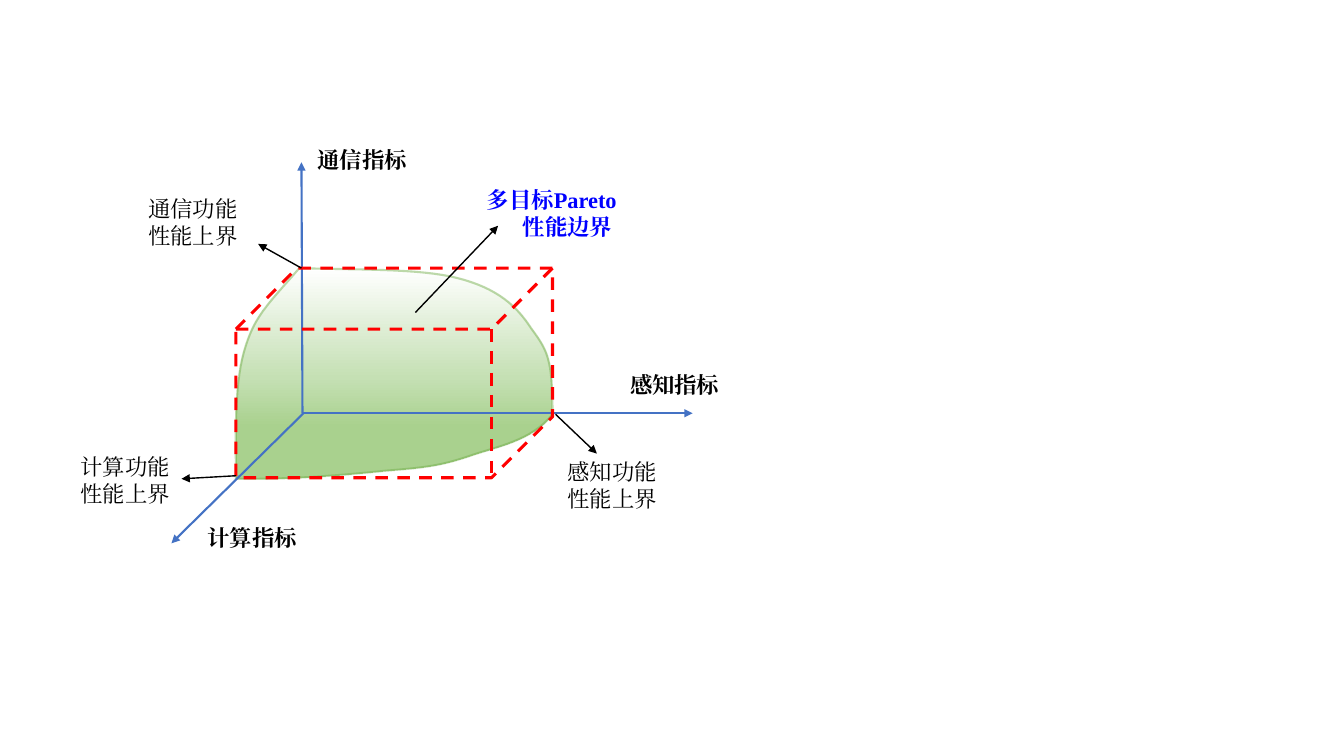
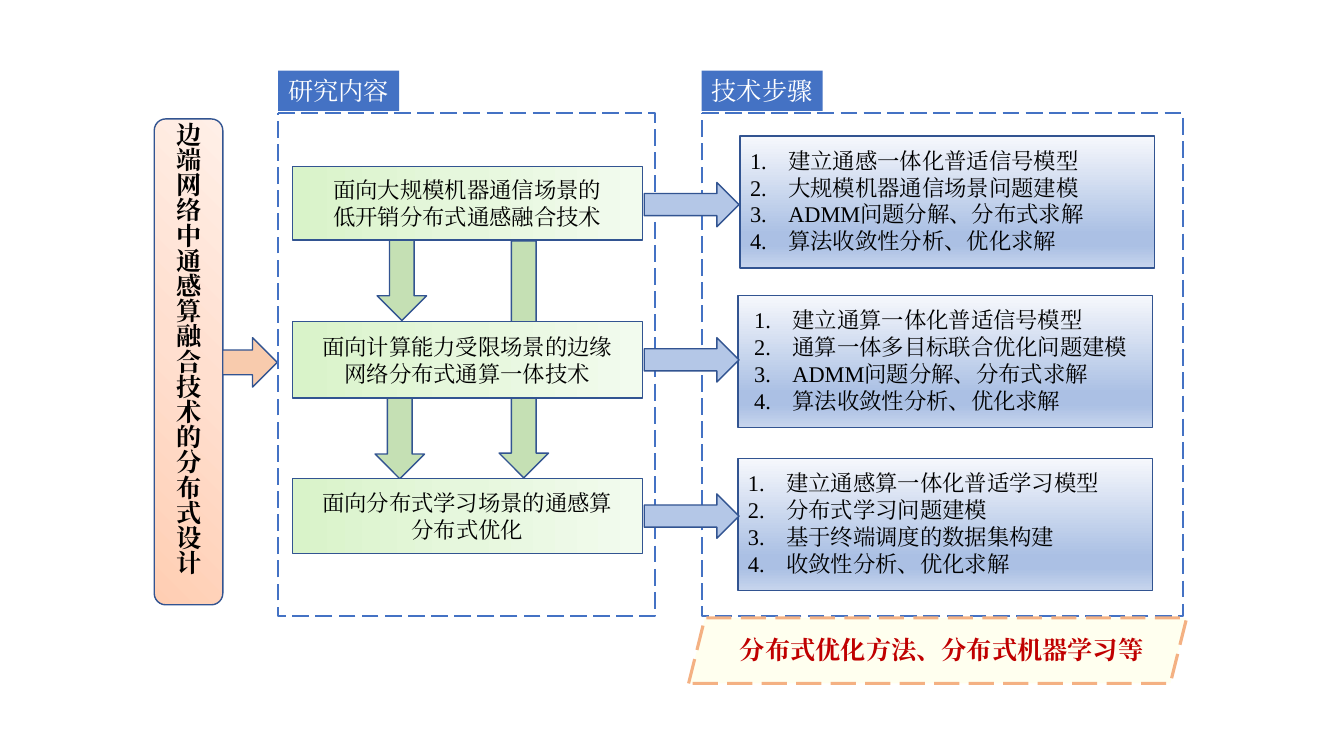
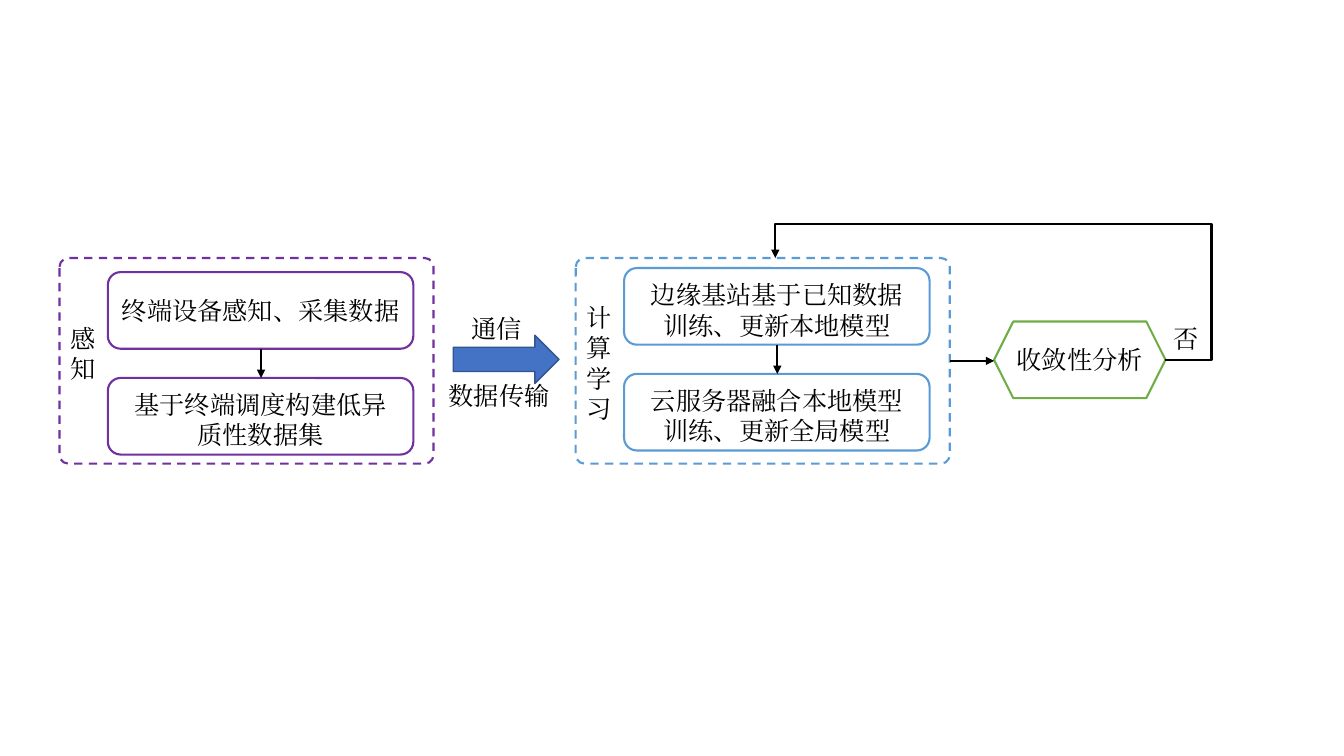
from dataclasses import dataclass

from pptx import Presentation
from pptx import util as u
from pptx.dml import color
from pptx.enum import dml, shapes, text
from pptx.oxml import parse_xml
from pptx.oxml.ns import nsdecls, qn
from lxml import etree


@dataclass(frozen=True)
class Theme:
    font: str = "Times New Roman"
    label: int = 16
    heading: int = 18
    black: str = "000000"
    white: str = "FFFFFF"
    blue: str = "4472C4"
    outline: str = "325491"
    purple: str = "7030A0"
    sky: str = "5B9BD5"
    green: str = "70AD47"
    light_green: str = "C5E0B4"
    light_blue: str = "B4C7E7"
    peach: str = "F8CBAD"
    orange: str = "F4B183"
    yellow: str = "FFFF99"
    red: str = "FF0000"
    dark_red: str = "C00000"
    bright_blue: str = "0000FF"


theme = Theme()
PRESET = shapes.MSO_SHAPE
CENTER = text.PP_ALIGN.CENTER
LEFT = text.PP_ALIGN.LEFT
TOP = text.MSO_ANCHOR.TOP
MIDDLE = text.MSO_ANCHOR.MIDDLE
DASH = dml.MSO_LINE.DASH
LONG_DASH = dml.MSO_LINE.LONG_DASH

# Gradients: stops as (position, colour), then direction
LINEAR = '<a:lin ang="{}" scaled="0"/>'
CORNER = '<a:path path="circle"><a:fillToRect t="100000" r="100000"/></a:path>'
GRADIENTS = {
    "surface": ([(0, "FFFFFF"), (52, "C5E0B4"), (75, "A9D18E"), (100, "A9D18E")],
                LINEAR.format(5400000)),
    "topic": ([(0, "D9F3C9"), (50, "E6F7DD"), (100, "F2FBEE")], LINEAR.format(0)),
    "steps": ([(0, "F6F8FC"), (74, "ABC0E4"), (83, "ABC0E4"), (100, "C7D5ED")],
              LINEAR.format(5400000)),
    "banner": ([(0, "FFCEB3"), (50, "FFDFCF"), (100, "FFEFE7")], CORNER),
}

# Slide 1: Pareto surface, axes and notes
SURFACE_START = (2.97, 2.66)
SURFACE_CURVES = [
    ((3.49, 2.68), (4.16, 2.66), (4.54, 2.76)),
    ((4.93, 2.86), (5.12, 3.03), (5.27, 3.26)),
    ((5.43, 3.48), (5.48, 3.55), (5.48, 4.11)),
    ((5.27, 4.38), (4.92, 4.43), (4.64, 4.53)),
    ((4.37, 4.62), (4.21, 4.64), (3.83, 4.67)),
    ((3.44, 4.71), (2.88, 4.76), (2.34, 4.75)),
    ((2.34, 4.38), (2.32, 3.84), (2.42, 3.49)),
    ((2.52, 3.14), (2.64, 3.04), (2.97, 2.66)),
]
AXES = [
    ((3.01, 4.1), (1.7, 5.39), "计算指标", (1.96, 5.15, 1.62, 0.37)),
    ((3, 4.1), (6.87, 4.1), "感知指标", (6.15, 3.63, 1.31, 0.37)),
    ((3, 4.1), (2.99, 1.61), "通信指标", (3.05, 1.4, 1.26, 0.37)),
]
BOUNDS = [
    ((5.51, 4.11), (5.92, 4.5), ["感知功能", "性能上界"], (5.53, 4.5, 1.31, 0.64)),
    ((2.99, 2.66), (2.56, 2.42), ["通信功能", "性能上界"], (1.37, 1.89, 1.31, 0.64)),
    ((2.34, 4.72), (1.8, 4.75), ["计算功能性能上界"], (0.7, 4.45, 1.23, 0.64)),
]

# Slide 2: each row has a topic (top, height, side inset) and steps (left, top, inset)
BANNER = "边端网络中通感算融合技术的分布式设计"
METHODS = "分布式优化方法、分布式机器学习等"
FRAMES = [("研究内容", 2.76, 3.74), ("技术步骤", 6.96, 4.77)]
ROWS = [
    ("面向大规模机器通信场景的低开销分布式通感融合技术", (1.65, 0.73, 0.33), (7.34, 1.35, 0.1), 1.81,
     ["建立通感一体化普适信号模型", "大规模机器通信场景问题建模",
      "ADMM问题分解、分布式求解", "算法收敛性分析、优化求解"]),
    ("面向计算能力受限场景的边缘网络分布式通算一体技术", (3.19, 0.76, 0.23), (7.32, 2.93, 0.16), 3.35,
     ["建立通算一体化普适信号模型", "通算一体多目标联合优化问题建模",
      "ADMM问题分解、分布式求解", "算法收敛性分析、优化求解"]),
    ("面向分布式学习场景的通感算分布式优化", (4.75, 0.74, 0.2), (7.32, 4.55, 0.1), 4.9,
     ["建立通感算一体化普适学习模型", "分布式学习问题建模",
      "基于终端调度的数据集构建", "收敛性分析、优化求解"]),
]
DOWN_ARROWS = [(4.95, 2.39, 2.35), (3.74, 2.38, 0.8), (3.72, 3.95, 0.8)]

# Slide 3: stages as (frame left, first box top, colour, name, name box, boxes)
STAGES = [
    (0.59, 2.7, theme.purple, "感知", (3.16, 0.71),
     [("终端设备感知、采集数据", 0.03, 0), ("基于终端调度构建低异质性数据集", 0.16, 0.07)]),
    (5.71, 2.66, theme.sky, "计算学习", (2.95, 1.31),
     [("边缘基站基于已知数据训练、更新本地模型", 0.16, 0.07),
      ("云服务器融合本地模型训练、更新全局模型", 0.16, 0.07)]),
]
CAPTIONS = [("数据传输", (4.21, 3.72, 1.48, 0.4)), ("通信", (4.53, 3.06, 0.79, 0.4)),
            ("否", (11.5, 3.16, 0.52, 0.4))]


def inches(values):
    return [u.Inches(value) for value in values]


def apply(target, values):
    for name, value in values.items():
        setattr(target, name, value)


def set_alpha(fill_color, opacity):
    """Add an opacity in percent to the first colour found below an element."""
    value = next(fill_color.iter(qn("a:srgbClr")))
    etree.SubElement(value, qn("a:alpha")).set("val", str(opacity * 1000))


def write(shape, lines, size=theme.label, ink=theme.black, bold=False, aligns=(LEFT,),
          anchor=TOP, insets=(0.1, 0.05, 0.1, 0.05), wrap=True, numbered=False):
    frame = shape.text_frame
    names = ("margin_left", "margin_top", "margin_right", "margin_bottom")
    apply(frame, dict(zip(names, inches(insets)), word_wrap=wrap, vertical_anchor=anchor))
    for index, line in enumerate(lines):
        paragraph = frame.paragraphs[0] if index == 0 else frame.add_paragraph()
        paragraph.alignment = aligns[min(index, len(aligns) - 1)]
        if numbered:
            properties = paragraph._p.get_or_add_pPr()
            properties.set("marL", str(u.Inches(0.38)))
            properties.set("indent", str(-u.Inches(0.38)))
            etree.SubElement(properties, qn("a:buAutoNum")).set("type", "arabicPeriod")
        run = paragraph.add_run()
        run.text = line
        apply(run.font, {"name": theme.font, "size": u.Pt(size), "bold": bold})
        run.font.color.rgb = color.RGBColor.from_string(ink)
        run_properties = run._r.get_or_add_rPr()
        run_properties.set("lang", "zh-CN")
        east_asian = etree.SubElement(run_properties, qn("a:ea"))
        east_asian.set("typeface", theme.font)


def add_label(slide, box, lines, **style):
    label = slide.shapes.add_textbox(*inches(box))
    write(label, lines, **style)
    return label


def paint(shape, fill=None, line=None, width=1, dash=None):
    shape.shadow.inherit = False
    if fill in GRADIENTS:
        stops, direction = GRADIENTS[fill]
        marks = "".join(f'<a:gs pos="{position * 1000}"><a:srgbClr val="{value}"/></a:gs>'
                        for position, value in stops)
        gradient = parse_xml(f'<a:gradFill {nsdecls("a")} rotWithShape="1">'
                             f'<a:gsLst>{marks}</a:gsLst>{direction}</a:gradFill>')
        shape.fill.background()
        properties = shape.element.spPr
        properties.replace(properties.find(qn("a:noFill")), gradient)
    elif fill:
        shape.fill.solid()
        shape.fill.fore_color.rgb = color.RGBColor.from_string(fill)
    else:
        shape.fill.background()
    if line:
        shape.line.color.rgb = color.RGBColor.from_string(line)
        shape.line.width = u.Pt(width)
        if dash:
            shape.line.dash_style = dash
    else:
        shape.line.fill.background()
    return shape


def add_block(slide, preset, box, adjust=None, **look):
    block = slide.shapes.add_shape(preset, *inches(box))
    if adjust is not None:
        block.adjustments[0] = adjust
    return paint(block, **look)


def add_arrow(slide, start, end, ink=theme.black, width=1.5, kind=shapes.MSO_CONNECTOR.STRAIGHT):
    arrow = slide.shapes.add_connector(kind, *inches(start + end))
    arrow.line.color.rgb = color.RGBColor.from_string(ink)
    arrow.line.width = u.Pt(width)
    properties = arrow.element.spPr
    etree.SubElement(properties.find(qn("a:ln")), qn("a:tailEnd")).set("type", "triangle")
    etree.SubElement(properties, qn("a:effectLst"))
    return arrow


def curve_points(start, curves, steps=16):
    """Sample a chain of cubic curves."""
    points = []
    for first, second, end in curves:
        for step in range(1, steps + 1):
            t = step / steps
            weights = ((1 - t) ** 3, 3 * t * (1 - t) ** 2, 3 * t * t * (1 - t), t ** 3)
            points.append(tuple(
                u.Inches(sum(w * p[axis] for w, p in zip(weights, (start, first, second, end))))
                for axis in (0, 1)))
        start = end
    return points


def build_pareto(slide):
    # Green surface
    builder = slide.shapes.build_freeform(*inches(SURFACE_START))
    builder.add_line_segments(curve_points(SURFACE_START, SURFACE_CURVES), close=True)
    surface = paint(builder.convert_to_shape(), "surface", theme.green, 1.5)
    set_alpha(surface.element.spPr.find(qn("a:ln")), 45)
    # Axes and bounding cube
    for start, end, _, _ in AXES:
        add_arrow(slide, start, end, theme.blue)
    for _, _, name, box in AXES:
        add_label(slide, box, [name], bold=True)
    add_block(slide, PRESET.CUBE, (2.34, 2.66, 3.14, 2.08), 0.291,
              line=theme.red, width=2.25, dash=DASH)
    # Notes
    add_arrow(slide, (4.12, 3.1), (4.94, 2.24), width=1)
    add_label(slide, (4.73, 1.8, 1.8, 0.64), ["多目标Pareto", "性能边界"],
              ink=theme.bright_blue, bold=True, aligns=(LEFT, CENTER))
    for start, end, lines, box in BOUNDS:
        add_arrow(slide, start, end, width=1)
        add_label(slide, box, lines)


def build_plan(slide):
    outlined = {"line": theme.outline}
    # Vertical banner
    banner = add_block(slide, PRESET.ROUNDED_RECTANGLE, (1.53, 1.18, 0.68, 4.82),
                       fill="banner", **outlined)
    write(banner, [BANNER], theme.heading, bold=True, aligns=(CENTER,), anchor=MIDDLE,
          insets=(0, 0, 0, 0))
    banner.text_frame._txBody.bodyPr.set("vert", "eaVert")
    add_block(slide, PRESET.RIGHT_ARROW, (2.21, 3.35, 0.54, 0.49), fill=theme.peach, **outlined)
    # Dashed frames with their tags
    for name, left, width in FRAMES:
        add_block(slide, PRESET.FLOWCHART_PROCESS, (left, 1.12, width, 4.99),
                  line=theme.blue, width=1.5, dash=LONG_DASH)
        tag = add_block(slide, PRESET.RECTANGLE, (left, 0.7, 1.2, 0.4), fill=theme.blue)
        write(tag, [name], theme.heading, theme.white)
    # Arrows between topics; the long one passes behind the middle topic
    for left, top, height in DOWN_ARROWS:
        add_block(slide, PRESET.DOWN_ARROW, (left, top, 0.49, height),
                  fill=theme.light_green, **outlined)
    # Topics with their steps
    for topic, (top, height, side), (left, steps_top, inset), arrow_top, steps in ROWS:
        box = add_block(slide, PRESET.ROUNDED_RECTANGLE, (2.9, top, 3.47, height), 0,
                        fill="topic", **outlined)
        write(box, [topic], aligns=(CENTER,), anchor=MIDDLE, insets=(side, 0, side, 0))
        panel = add_block(slide, PRESET.ROUNDED_RECTANGLE, (left, steps_top, 4.11, 1.31), 0,
                          fill="steps", **outlined)
        write(panel, steps, anchor=MIDDLE, insets=(inset, 0, 0, 0.03), numbered=True)
        add_block(slide, PRESET.RIGHT_ARROW, (6.39, arrow_top, 0.94, 0.44),
                  fill=theme.light_blue, **outlined)
    # Methods ribbon
    ribbon = add_block(slide, PRESET.PARALLELOGRAM, (6.83, 6.13, 4.94, 0.65),
                       fill=theme.yellow, line=theme.orange, width=2.25, dash=LONG_DASH)
    set_alpha(ribbon.element.spPr.find(qn("a:solidFill")), 15)
    write(ribbon, [METHODS], theme.heading, theme.dark_red, True, (CENTER,), MIDDLE,
          (0.08, 0, 0, 0.03), wrap=False)


def build_flow(slide):
    centred = {"size": theme.heading, "aligns": (CENTER,)}
    box_height, pitch = 0.76, 1.05
    # Stages
    for left, top, ink, name, (name_top, name_height), boxes in STAGES:
        add_block(slide, PRESET.ROUNDED_RECTANGLE, (left, 2.56, 3.71, 2.04), 0.043,
                  line=ink, width=1.5, dash=DASH)
        add_label(slide, (left - 0.03, name_top, 0.52, name_height), [name], **centred)
        for index, (content, side, drop) in enumerate(boxes):
            box = add_block(slide, PRESET.ROUNDED_RECTANGLE,
                            (left + 0.48, top + index * pitch, 3.03, box_height),
                            line=ink, width=1.5)
            write(box, [content], anchor=MIDDLE, insets=(side, drop, side, 0), **centred)
        middle = left + 2
        add_arrow(slide, (middle, top + box_height), (middle, top + pitch))
    # Data transfer
    transfer = add_block(slide, PRESET.DOWN_ARROW, (4.78, 3.04, 0.48, 1.05),
                         fill=theme.blue, line=theme.outline)
    transfer.rotation = 270
    for caption, box in CAPTIONS:
        add_label(slide, box, [caption], **centred)
    # Convergence check and loop back
    check = add_block(slide, PRESET.HEXAGON, (9.86, 3.19, 1.7, box_height),
                      line=theme.green, width=1.5)
    write(check, ["收敛性分析"], anchor=MIDDLE, insets=(0, 0, 0, 0), wrap=False, **centred)
    add_arrow(slide, (9.42, 3.58), (9.86, 3.58))
    loop = add_arrow(slide, (11.56, 3.57), (7.69, 2.56), kind=shapes.MSO_CONNECTOR.ELBOW)
    geometry = loop.element.spPr.find(qn("a:prstGeom"))
    geometry.set("prst", "bentConnector4")
    guides = geometry.find(qn("a:avLst"))
    if guides is None:
        guides = etree.SubElement(geometry, qn("a:avLst"))
    for name, value in (("adj1", -11800), ("adj2", 133200)):
        guide = etree.SubElement(guides, qn("a:gd"))
        guide.set("name", name)
        guide.set("fmla", f"val {value}")


def main():
    presentation = Presentation()
    apply(presentation, {"slide_width": u.Inches(13.33), "slide_height": u.Inches(7.5)})
    blank = presentation.slide_layouts[6]
    for build in (build_pareto, build_plan, build_flow):
        build(presentation.slides.add_slide(blank))
    presentation.save("out.pptx")


if __name__ == "__main__":
    main()
